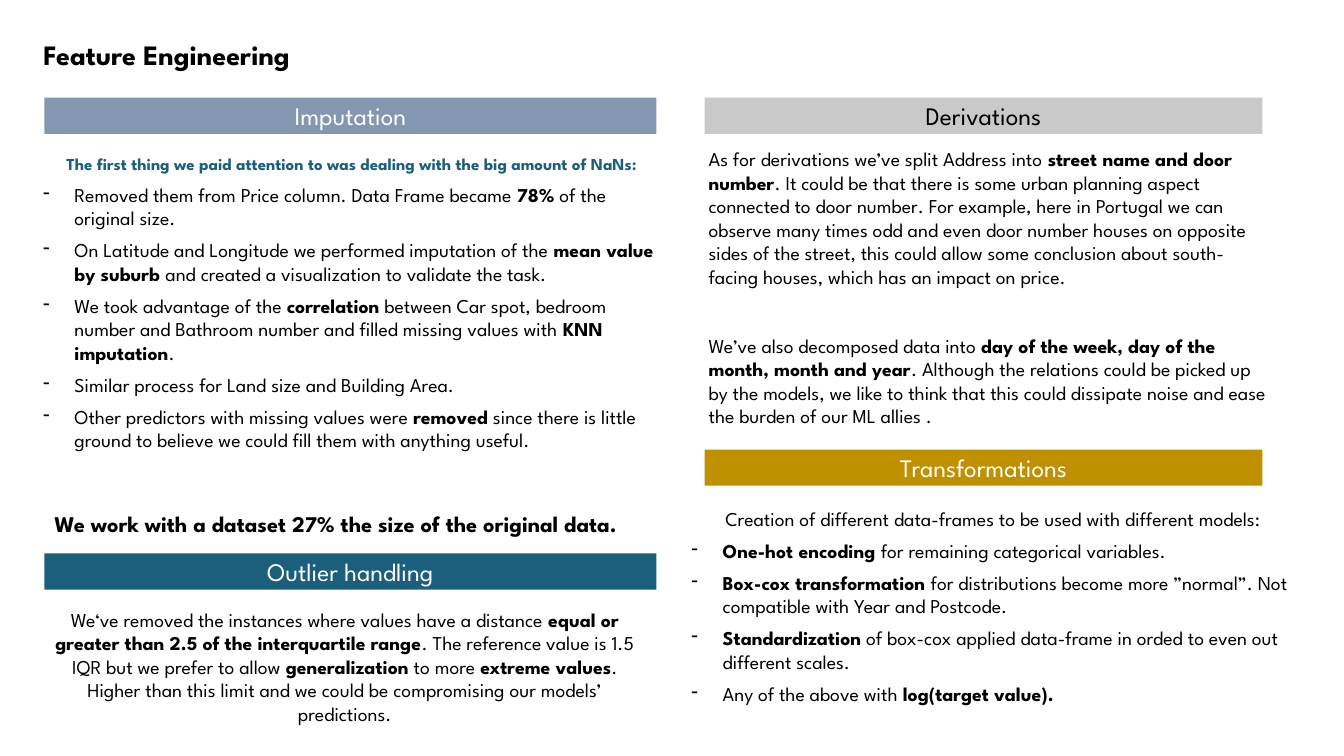
"""Build the feature engineering slide."""
from lxml.etree import SubElement
from pptx import Presentation
from pptx.dml.color import RGBColor
from pptx.enum.shapes import MSO_SHAPE
from pptx.enum.text import MSO_ANCHOR, MSO_AUTO_SIZE, PP_ALIGN
from pptx.oxml.ns import qn
from pptx.util import Inches, Pt

FONT = "League Spartan"
BLACK = RGBColor(0x00, 0x00, 0x00)
WHITE = RGBColor(0xFF, 0xFF, 0xFF)
SLATE = RGBColor(0x84, 0x97, 0xB0)
TEAL = RGBColor(0x1B, 0x5F, 0x7D)
GOLD = RGBColor(0xBF, 0x90, 0x00)
SILVER = RGBColor(0xC9, 0xC9, 0xC9)

BAND_HEIGHT = 0.36
LEFT, LEFT_WIDTH = 0.44, 6.07
RIGHT, RIGHT_WIDTH = 6.99, 5.53

IMPUTATION_STEPS = [
    "Removed them from Price column. Data Frame became **78%** of the original size.",
    "On Latitude and Longitude we performed imputation of the **mean value by suburb "
    "**and created a visualization to validate the task.",
    "We took advantage of the **correlation** between Car spot, bedroom number and "
    "Bathroom number and filled missing values with **KNN imputation**.",
    "Similar process for Land size and Building Area.",
    "Other predictors with missing values were **removed** since there is little ground "
    "to believe we could fill them with anything useful.",
]
OUTLIER_TEXT = (
    "We‘ve removed the instances where values have a distance **equal or greater than 2.5 "
    "of the interquartile range**. The reference value is 1.5 IQR but we prefer to allow "
    "**generalization** to more **extreme values**. Higher than this limit and we could be "
    "compromising our models’ predictions."
)
ADDRESS_TEXT = (
    "As for derivations we’ve split Address into **street name and door number**. It could "
    "be that there is some urban planning aspect connected to door number. For example, "
    "here in Portugal we can observe many times odd and even door number houses on opposite "
    "sides of the street, this could allow some conclusion about south-facing houses, which "
    "has an impact on price."
)
DATE_TEXT = (
    "We’ve also decomposed data into **day of the week, day of the month, month and year**. "
    "Although the relations could be picked up by the models, we like to think that this "
    "could dissipate noise and ease the burden of our ML allies ."
)
TRANSFORMATION_STEPS = [
    "**One-hot encoding **for remaining categorical variables.",
    "**Box-cox transformation **for distributions become more ”normal”. Not compatible "
    "with Year and Postcode.",
    "**Standardization** of box-cox applied data-frame in orded to even out different scales.",
    "Any of the above with **log(target value).**",
]


def write(para, text, size=14, color=BLACK, align=PP_ALIGN.LEFT, before=0, bullet=False):
    """Fill a paragraph, with bold spans set between double asterisks."""
    para.alignment = align
    para.space_before = Pt(before)
    for index, part in enumerate(text.split("**")):
        if part:
            span = para.add_run()
            span.text = part
            span.font.name = FONT
            span.font.size = Pt(size)
            span.font.color.rgb = color
            span.font.bold = index % 2 == 1
    if bullet:
        properties = para._p.get_or_add_pPr()
        properties.set("marL", str(Inches(0.31)))
        properties.set("indent", str(-Inches(0.31)))
        bullet_color = SubElement(properties, qn("a:buClr"))
        SubElement(bullet_color, qn("a:srgbClr"), val=str(BLACK))
        SubElement(properties, qn("a:buChar"), char="-")


def add_text(page, left, top, width, height, text, **style):
    """Add a wrapping text box with one paragraph and return its frame."""
    box = page.shapes.add_textbox(Inches(left), Inches(top), Inches(width), Inches(height))
    box.text_frame.word_wrap = True
    write(box.text_frame.paragraphs[0], text, **style)
    return box.text_frame


def add_list(page, left, top, width, height, lead, steps, **style):
    """Add a centred lead line followed by dashed steps."""
    frame = add_text(page, left, top, width, height, lead,
                     align=PP_ALIGN.CENTER, before=6, **style)
    for step in steps:
        write(frame.add_paragraph(), step, before=6, bullet=True)


def add_band(page, left, top, width, text, fill, color=WHITE):
    """Add a coloured section heading."""
    band = page.shapes.add_shape(MSO_SHAPE.RECTANGLE, Inches(left), Inches(top),
                                 Inches(width), Inches(BAND_HEIGHT))
    band.shadow.inherit = False
    band.fill.solid()
    band.fill.fore_color.rgb = fill
    band.line.fill.background()
    band.text_frame.vertical_anchor = MSO_ANCHOR.MIDDLE
    write(band.text_frame.paragraphs[0], text, size=18, color=color, align=PP_ALIGN.CENTER)


def add_title(page, left, top, width, height):
    """Place and format the slide title."""
    title = page.shapes.title
    title.left, title.top = Inches(left), Inches(top)
    title.width, title.height = Inches(width), Inches(height)
    title.text_frame.auto_size = MSO_AUTO_SIZE.NONE
    title.text_frame.vertical_anchor = MSO_ANCHOR.TOP
    write(title.text_frame.paragraphs[0], "**Feature Engineering**", size=20)


def add_imputation(page, left, top, width):
    """Add the imputation section with its closing statement."""
    add_band(page, left, top, width, "Imputation", SLATE)
    add_list(page, left - 0.11, top + 0.51, width + 0.25, 3.71,
             "**The first thing we paid attention to was dealing with the big amount of NaNs:**",
             IMPUTATION_STEPS, size=12, color=TEAL)
    add_text(page, left, top + 4.04, width + 0.42, 0.63,
             "**We work with a dataset 27% the size of the original data.**", size=16)


def add_outliers(page, left, top, width):
    """Add the outlier handling section."""
    add_band(page, left, top, width, "Outlier handling", TEAL)
    add_text(page, left - 0.11, top + 0.49, width + 0.11, 1.26, OUTLIER_TEXT,
             align=PP_ALIGN.CENTER)


def add_derivations(page, left, top, width):
    """Add the derivations section."""
    add_band(page, left, top, width, "Derivations", SILVER, BLACK)
    add_text(page, left - 0.06, top + 0.44, width + 0.26, 1.73, ADDRESS_TEXT)
    add_text(page, left - 0.06, top + 2.29, width + 0.26, 1.26, DATE_TEXT)


def add_transformations(page, left, top, width):
    """Add the transformations section."""
    add_band(page, left, top, width, "Transformations", GOLD)
    add_list(page, left - 0.23, top + 0.52, width + 0.65, 2.61,
             "Creation of different data-frames to be used with different models:",
             TRANSFORMATION_STEPS)


def main():
    """Build and save the deck."""
    deck = Presentation()
    deck.slide_width, deck.slide_height = Inches(13.33), Inches(7.5)
    page = deck.slides.add_slide(deck.slide_layouts[5])
    add_title(page, 0.33, 0.32, 6.18, 0.43)
    add_imputation(page, LEFT, 0.97, LEFT_WIDTH)
    add_outliers(page, LEFT, 5.49, LEFT_WIDTH)
    add_derivations(page, RIGHT, 0.97, RIGHT_WIDTH)
    add_transformations(page, RIGHT, 4.46, RIGHT_WIDTH)
    deck.save("out.pptx")


if __name__ == "__main__":
    main()
